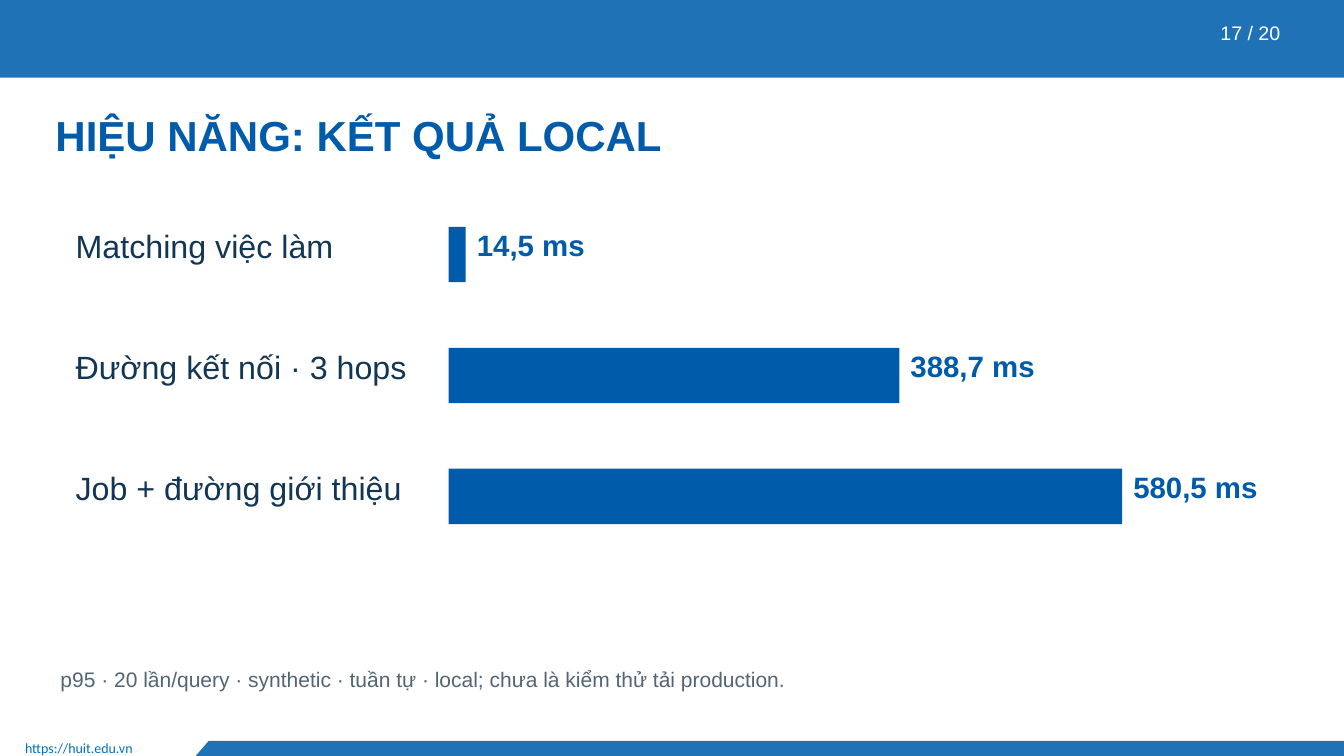
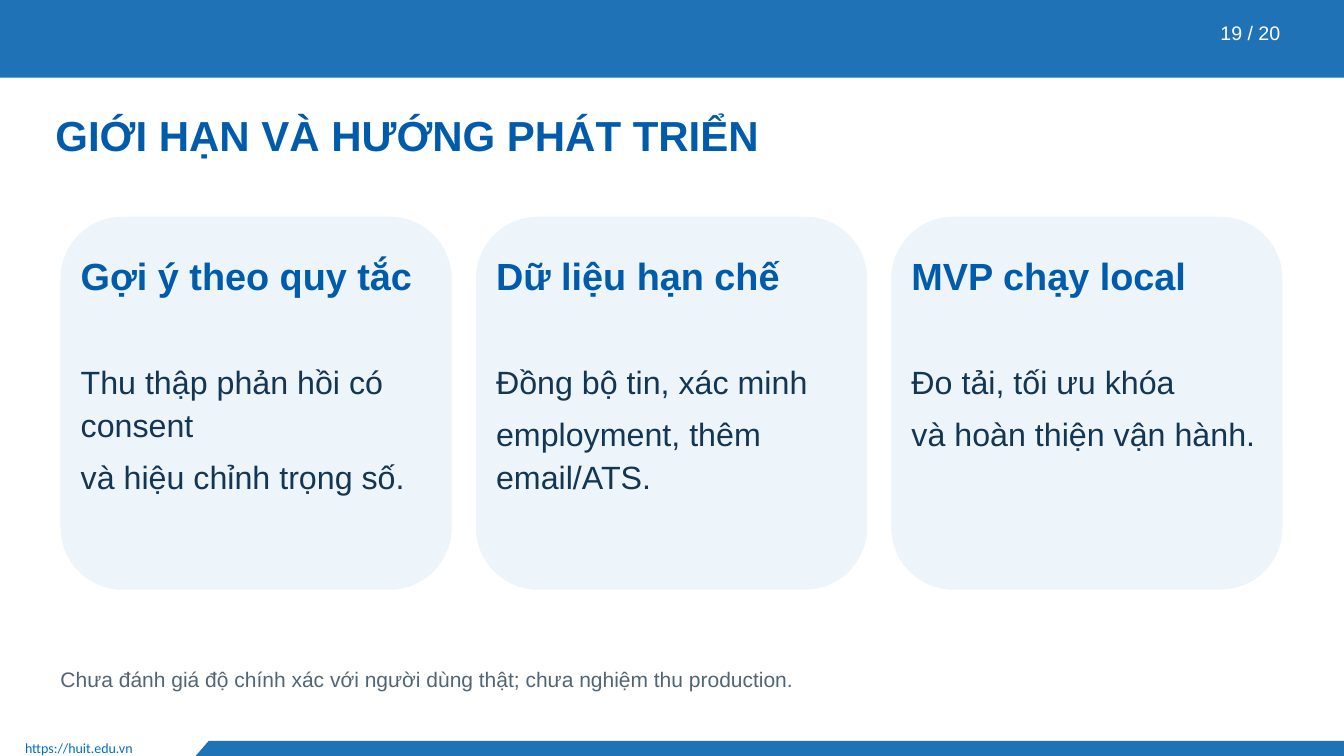
from pptx import Presentation
from pptx.dml.color import RGBColor
from pptx.enum.shapes import MSO_SHAPE
from pptx.enum.text import MSO_ANCHOR, MSO_AUTO_SIZE, PP_ALIGN
from pptx.util import Pt

SCALE = 9144
BAND_BLUE = RGBColor(0x20, 0x72, 0xB7)
LINK_BLUE = RGBColor(0x00, 0x70, 0xC0)
ACCENT_BLUE = RGBColor(0x00, 0x5B, 0xAA)
NAVY = RGBColor(0x12, 0x36, 0x53)
GRAY = RGBColor(0x52, 0x65, 0x75)
PALE_BLUE = RGBColor(0xED, 0xF4, 0xFA)
WHITE = RGBColor(0xFF, 0xFF, 0xFF)


def write_text(slide, text, box, size, color, bold=False, align=PP_ALIGN.LEFT, font="Arial",
               insets=(0, 0, 0, 4), line_spacing=1.12, space_after=6, shape=None):
    bounds = [value * SCALE for value in box]
    if shape is None:
        shape = slide.shapes.add_textbox(*bounds)
    shape.left, shape.top, shape.width, shape.height = bounds
    frame = shape.text_frame
    frame.text = text
    frame.word_wrap = True
    frame.auto_size = MSO_AUTO_SIZE.NONE
    frame.vertical_anchor = MSO_ANCHOR.TOP
    frame.margin_left, frame.margin_top, frame.margin_right, frame.margin_bottom = [
        inset * SCALE for inset in insets]
    for paragraph in frame.paragraphs:
        paragraph.alignment = align
        paragraph.line_spacing = line_spacing
        paragraph.space_before = Pt(0)
        paragraph.space_after = Pt(space_after)
        paragraph.font.name = font
        paragraph.font.size = Pt(size)
        paragraph.font.bold = bold
        paragraph.font.color.rgb = color
    return shape


def paint(shape, color):
    shape.shadow.inherit = False
    shape.fill.solid()
    shape.fill.fore_color.rgb = color
    shape.line.fill.background()


presentation = Presentation()
presentation.slide_width = 1333 * SCALE
presentation.slide_height = 750 * SCALE
layout = presentation.slide_layouts[5]

pages = [
    ("HIỆU NĂNG: KẾT QUẢ LOCAL", "17 / 20",
     "p95 · 20 lần/query · synthetic · tuần tự · local; chưa là kiểm thử tải production."),
    ("GIỚI HẠN VÀ HƯỚNG PHÁT TRIỂN", "19 / 20",
     "Chưa đánh giá độ chính xác với người dùng thật; chưa nghiệm thu production."),
]
slides = []
for title, number, note in pages:
    slide = presentation.slides.add_slide(layout)
    write_text(slide, title, (55, 103, 1205, 72), 30, ACCENT_BLUE, bold=True,
               shape=slide.shapes.title)
    write_text(slide, number, (1165, 18, 105, 32), 14, WHITE, align=PP_ALIGN.RIGHT)
    write_text(slide, note, (60, 658, 1200, 38), 15, GRAY)
    slides.append(slide)
performance_slide, limits_slide = slides

top_band = performance_slide.shapes.add_shape(
    MSO_SHAPE.RECTANGLE, 0, -1 * SCALE, 1333 * SCALE, 78 * SCALE)
outline = performance_slide.shapes.build_freeform(207, 735, scale=SCALE)
outline.add_line_segments([(1333, 735), (1333, 750), (194, 750)], close=True)
bottom_band = outline.convert_to_shape()
for band in (top_band, bottom_band):
    paint(band, BAND_BLUE)
address = write_text(performance_slide, "https://huit.edu.vn", (15, 729, 178, 28), 10, LINK_BLUE,
                     font="Calibri", insets=(10, 5, 10, 5), line_spacing=1.0, space_after=0)
for shape in (top_band, bottom_band, address):
    layout.shapes.element.append(shape.element)

measurements = [
    ("Matching việc làm", 14.5),
    ("Đường kết nối · 3 hops", 388.7),
    ("Job + đường giới thiệu", 580.5),
]
BAR_LEFT, LONGEST_BAR = 445, 668
longest_time = max(time for label, time in measurements)
for row, (label, time) in enumerate(measurements):
    top = 220 + row * 120
    bar_width = round(LONGEST_BAR * time / longest_time)
    write_text(performance_slide, label, (75, top, 355, 72), 23, NAVY)
    bar = performance_slide.shapes.add_shape(
        MSO_SHAPE.RECTANGLE, BAR_LEFT * SCALE, (top + 5) * SCALE, bar_width * SCALE, 55 * SCALE)
    paint(bar, ACCENT_BLUE)
    write_text(performance_slide, f"{time} ms".replace(".", ","),
               (BAR_LEFT + bar_width + 11, top + 1, 200, 55), 21, ACCENT_BLUE, bold=True)

cards = [
    ("Gợi ý theo quy tắc", "Thu thập phản hồi có consent\nvà hiệu chỉnh trọng số."),
    ("Dữ liệu hạn chế", "Đồng bộ tin, xác minh\nemployment, thêm email/ATS."),
    ("MVP chạy local", "Đo tải, tối ưu khóa\nvà hoàn thiện vận hành."),
]
CARD_WIDTH, CARD_GAP, CARD_PADDING = 388, 24, 20
text_width = CARD_WIDTH - 2 * CARD_PADDING
for column, (heading, body) in enumerate(cards):
    left = 60 + column * (CARD_WIDTH + CARD_GAP)
    card = limits_slide.shapes.add_shape(
        MSO_SHAPE.ROUNDED_RECTANGLE, left * SCALE, 215 * SCALE, CARD_WIDTH * SCALE, 370 * SCALE)
    paint(card, PALE_BLUE)
    text_left = left + CARD_PADDING
    write_text(limits_slide, heading, (text_left, 245, text_width, 95), 27, ACCENT_BLUE, bold=True)
    write_text(limits_slide, body, (text_left, 355, text_width, 195), 23, NAVY)

presentation.save("out.pptx")
